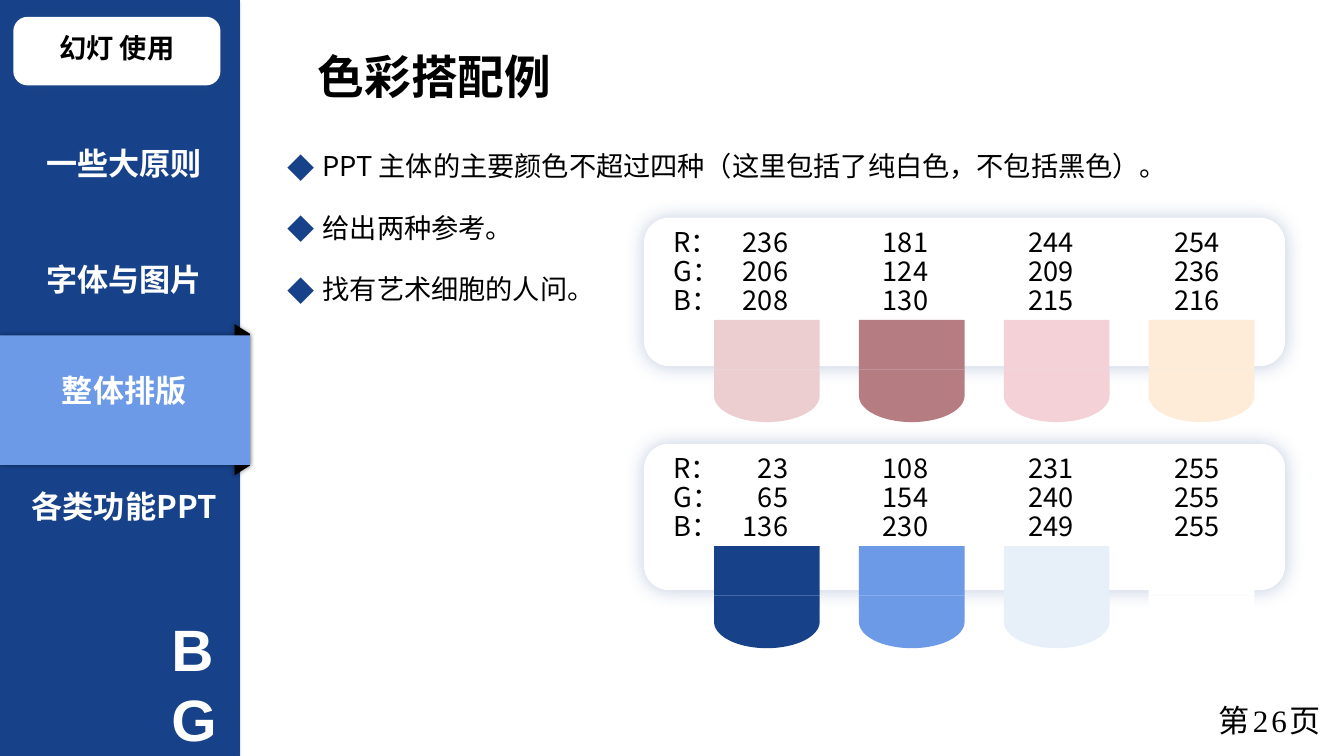
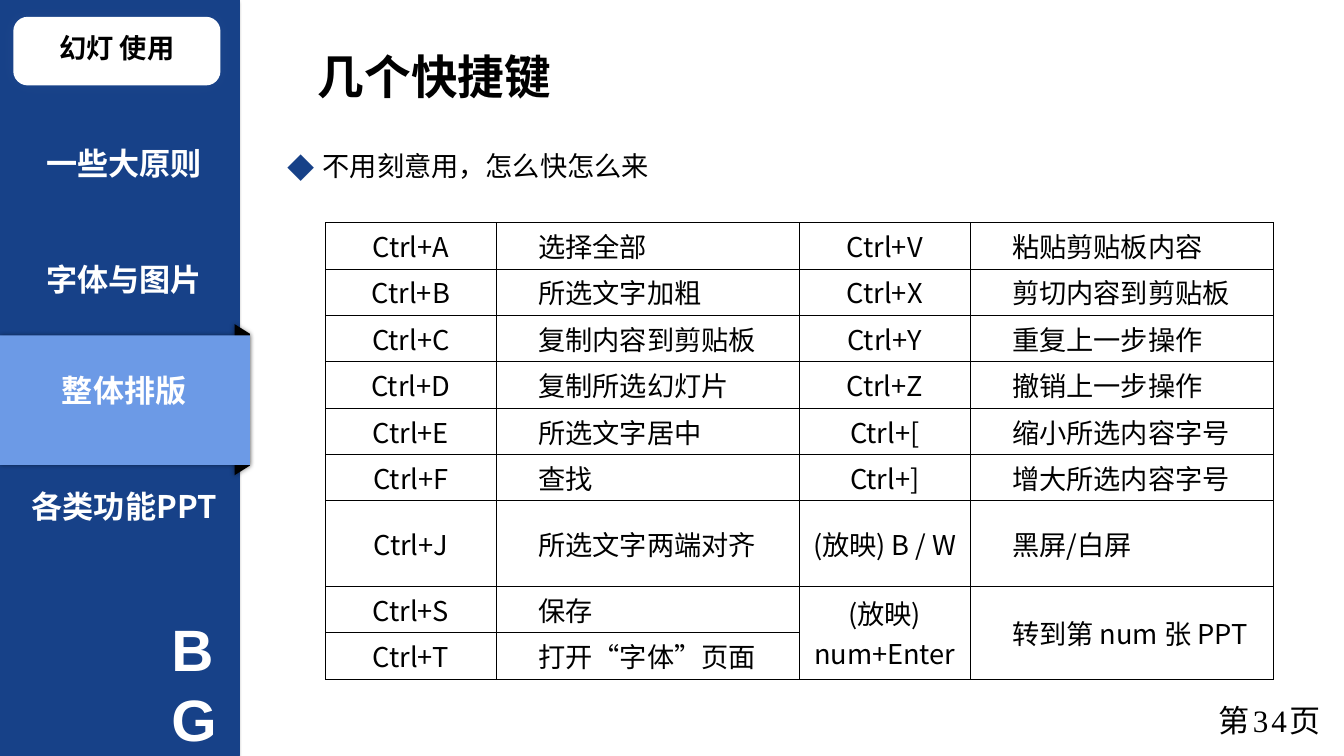
import pptx
import pptx.dml.color
import pptx.enum.shapes
import pptx.enum.text
import pptx.oxml
import pptx.oxml.ns
import pptx.util
from lxml import etree

RGB = pptx.dml.color.RGBColor
ALIGN = pptx.enum.text.PP_ALIGN
ANCHOR = pptx.enum.text.MSO_ANCHOR
SHAPE = pptx.enum.shapes.MSO_SHAPE
qn = pptx.oxml.ns.qn

EMU_PER_PX = 9144  # 100 px to the inch
SLIDE_W, SLIDE_H = 1920, 1080

NAVY = RGB(23, 65, 136)
SKY = RGB(108, 154, 230)
BLACK = RGB(0, 0, 0)
WHITE = RGB(255, 255, 255)
HALO = RGB(0x2F, 0x55, 0x97)
PINK_PALETTE = (RGB(236, 206, 208), RGB(181, 124, 130),
                RGB(244, 209, 215), RGB(254, 236, 216))
BLUE_PALETTE = (NAVY, SKY, RGB(231, 240, 249), WHITE)

SANS = "Noto Sans CJK SC"
SERIF = "Times New Roman"

CHAPTERS = (("一些大原则", 192), ("字体与图片", 358),
            ("整体排版", 516), ("各类功能PPT", 683))

SHORTCUTS = (
    ("Ctrl+A", "选择全部", "Ctrl+V", "粘贴剪贴板内容"),
    ("Ctrl+B", "所选文字加粗", "Ctrl+X", "剪切内容到剪贴板"),
    ("Ctrl+C", "复制内容到剪贴板", "Ctrl+Y", "重复上一步操作"),
    ("Ctrl+D", "复制所选幻灯片", "Ctrl+Z", "撤销上一步操作"),
    ("Ctrl+E", "所选文字居中", "Ctrl+[", "缩小所选内容字号"),
    ("Ctrl+F", "查找", "Ctrl+]", "增大所选内容字号"),
    ("Ctrl+J", "所选文字两端对齐", "(放映) B / W", "黑屏/白屏"),
    ("Ctrl+S", "保存", "(放映)\nnum+Enter", "转到第 num 张 PPT"),
    ("Ctrl+T", "打开“字体”页面", "", ""),
)


def px(length):
    return pptx.util.Emu(round(length * EMU_PER_PX))


def add_child(parent, tag, **attributes):
    return etree.SubElement(parent, qn(tag), attributes)


def move(part, x, y, w, h):
    part.left, part.top, part.width, part.height = px(x), px(y), px(w), px(h)


def write(frame, text, size, colour=BLACK, bold=False, align=ALIGN.LEFT,
          font=SANS, spacing=None):
    """Set the text of a frame and format its paragraphs and runs."""
    frame.text = text
    for paragraph in frame.paragraphs:
        paragraph.alignment = align
        if spacing:
            paragraph.line_spacing = spacing
        for run in paragraph.runs:
            run.font.size = pptx.util.Pt(size)
            run.font.bold = bold
            run.font.color.rgb = colour
            run.font.name = font
            add_child(run.font._element, "a:ea", typeface=SANS)


def set_frame(frame, inset_x=10, inset_y=5, wrap=True, anchor=ANCHOR.TOP):
    frame.auto_size = pptx.enum.text.MSO_AUTO_SIZE.NONE
    frame.word_wrap = wrap
    frame.vertical_anchor = anchor
    frame.margin_left = frame.margin_right = px(inset_x)
    frame.margin_top = frame.margin_bottom = px(inset_y)


def add_label(slide, box, text, size, inset_y=5, wrap=True, **style):
    label = slide.shapes.add_textbox(*map(px, box))
    set_frame(label.text_frame, inset_y=inset_y, wrap=wrap)
    write(label.text_frame, text, size, **style)
    return label.text_frame


def add_block(slide, preset, box, fill, adjust=None, turn=0, shadow=None):
    """Add a plain filled shape; shadow is colour, alpha %, blur, distance, angle."""
    block = slide.shapes.add_shape(preset, *map(px, box))
    block.rotation = turn
    block.fill.solid()
    block.fill.fore_color.rgb = fill
    block.line.fill.background()
    block.shadow.inherit = False
    if adjust is not None:
        block.adjustments[0] = adjust
    if shadow:
        colour, alpha, blur, distance, angle = shadow
        effects = block._element.spPr.find(qn("a:effectLst"))
        outer = add_child(effects, "a:outerShdw", blurRad=str(blur * 12700),
                          dist=str(distance * 12700), dir=str(angle * 60000),
                          algn="ctr", rotWithShape="0")
        tint = add_child(outer, "a:srgbClr", val=str(colour))
        add_child(tint, "a:alpha", val=str(alpha * 1000))
    return block


HALO_SHADOW = (HALO, 30, 20, 0, 0)
TAB_SHADOW = (BLACK, 40, 5, 0, 0)


def add_sidebar(slide, x, y):
    """Navy band with the deck name, the chapters and the current-chapter tab."""
    band = add_block(slide, SHAPE.RECTANGLE, (x, y, 342, SLIDE_H), NAVY,
                     shadow=(BLACK, 40, 4, 3, 135))
    band.line.color.rgb = NAVY
    band.line.width = pptx.util.Pt(1)
    add_label(slide, (x + 235, y + 871, 86, 212), "B\nG", 60, wrap=False,
              colour=WHITE, bold=True, font="Arial")

    # Deck name
    add_block(slide, SHAPE.ROUNDED_RECTANGLE, (x + 19, y + 24, 296, 98), WHITE,
              adjust=0.21, shadow=HALO_SHADOW)
    add_label(slide, (x + 19, y + 30, 296, 87), "幻灯 使用", 28, inset_y=20,
              bold=True, align=ALIGN.CENTER, spacing=0.9)

    # Folded tab behind the current chapter
    add_block(slide, SHAPE.TRAPEZOID, (x + 238, y + 560, 216, 22), BLACK,
              adjust=0.63, turn=90, shadow=TAB_SHADOW)
    add_block(slide, SHAPE.RECTANGLE, (x, y + 479, 357, 185), SKY,
              shadow=TAB_SHADOW)

    # Chapters
    for chapter, top in CHAPTERS:
        frame = add_label(slide, (x, y + top, 335, 94), chapter, 32, inset_y=20,
                          colour=WHITE, bold=True, align=ALIGN.CENTER, spacing=0.9)
        frame.paragraphs[0]._p.get_or_add_pPr().set("marL", str(px(20)))


def add_page_number(slide, box, number):
    frame = add_label(slide, box, f"第{number}页", 32, align=ALIGN.RIGHT, font=SERIF)
    frame.paragraphs[0].runs[0].font._element.set("spc", "300")


def fill_title(title, box, text):
    move(title, *box)
    set_frame(title.text_frame, anchor=ANCHOR.MIDDLE)
    write(title.text_frame, text, 48, bold=True, spacing=0.9)
    title.text_frame.paragraphs[0]._p.get_or_add_pPr().set("marL", str(px(20)))


def fill_points(body, box, points):
    """Diamond-bulleted list in the body placeholder."""
    move(body, *box)
    set_frame(body.text_frame, inset_y=20)
    write(body.text_frame, "\n".join(points), 28, align=ALIGN.JUSTIFY, spacing=0.9)
    for index, paragraph in enumerate(body.text_frame.paragraphs):
        paragraph.space_before = pptx.util.Pt(17 if index else 0)
        paragraph.space_after = pptx.util.Pt(16)
        props = paragraph._p.get_or_add_pPr()
        props.set("marL", str(px(70)))
        props.set("indent", str(px(-50)))
        add_child(add_child(props, "a:buClr"), "a:srgbClr", val=str(NAVY))
        add_child(props, "a:buFont", typeface=SANS)
        add_child(props, "a:buChar", char="◆")


def add_palette(slide, box, colours):
    """Card with four colour swatches and their RGB values above them."""
    x, y, w, h = box
    add_block(slide, SHAPE.ROUNDED_RECTANGLE, box, WHITE, adjust=0.17,
              shadow=HALO_SHADOW)

    # Swatches: a square top and a rounded bottom
    swatch_w, top_h, tip_h, pitch = 151, 71, 75, 207
    for index, colour in enumerate(colours):
        left, top = x + 100 + index * pitch, y + 146
        side = (swatch_w - tip_h) // 2
        add_block(slide, SHAPE.FLOWCHART_DELAY,
                  (left + side, top + top_h - side, tip_h, swatch_w), colour, turn=90)
        add_block(slide, SHAPE.RECTANGLE, (left, top, swatch_w, top_h), colour)

    # Channel values, right-aligned on tab stops
    rows = ["\t".join([f"{name}：", *(str(colour[channel]) for colour in colours)])
            for channel, name in enumerate("RGB")]
    frame = add_label(slide, (x + 32, y + 11, w - 64, 135), "\n".join(rows), 28,
                      spacing=pptx.util.Pt(30))
    for paragraph in frame.paragraphs:
        stops = add_child(paragraph._p.get_or_add_pPr(), "a:tabLst")
        for stop in (164, 364, 572, 781):
            add_child(stops, "a:tab", pos=str(px(stop)), algn="r")


def outline_cell(cell):
    props = cell._tc.get_or_add_tcPr()
    for side in ("a:lnL", "a:lnR", "a:lnT", "a:lnB"):
        line = add_child(props, side, w="12700")
        add_child(add_child(line, "a:solidFill"), "a:srgbClr", val=str(BLACK))
    cell.fill.background()


def add_shortcuts(slide, box):
    """Grid of key and meaning pairs, two pairs to a row."""
    row_count = len(SHORTCUTS)
    table = slide.shapes.add_table(row_count, 4, *map(px, box)).table
    table.first_row = table.horz_banding = False
    for column, width in zip(table.columns, (244, 433) * 2):
        column.width = px(width)
    for row, texts in zip(table.rows, SHORTCUTS):
        row.height = px(box[3] // row_count)
        for index, (cell, text) in enumerate(zip(row.cells, texts)):
            outline_cell(cell)
            cell.vertical_anchor = ANCHOR.MIDDLE
            is_key = index % 2 == 0
            write(cell.text_frame, text, 28,
                  align=ALIGN.CENTER if is_key else ALIGN.LEFT)
            if not is_key:
                props = cell.text_frame.paragraphs[0]._p.get_or_add_pPr()
                props.set("marL", "0")
                props.set("indent", str(px(50)))
    for index in (2, 3):
        table.cell(row_count - 2, index).merge(table.cell(row_count - 1, index))


def add_page(deck, title, points, body_height, number):
    slide = deck.slides.add_slide(deck.slide_layouts[1])
    add_sidebar(slide, 0, 0)
    fill_title(slide.shapes.title, (424, 64, 1364, 98), title)
    fill_points(slide.placeholders[1], (381, 199, 1364, body_height), points)
    add_page_number(slide, (1558, 997, 339, 65), number)
    return slide


def main():
    deck = pptx.Presentation()
    deck.slide_width, deck.slide_height = px(SLIDE_W), px(SLIDE_H)

    # Colour schemes
    colours = add_page(deck, "色彩搭配例", (
        "PPT 主体的主要颜色不超过四种（这里包括了纯白色，不包括黑色）。",
        "给出两种参考。",
        "找有艺术细胞的人问。"), 282, 26)
    add_palette(colours, (920, 634, 916, 209), BLUE_PALETTE)
    add_palette(colours, (920, 311, 916, 212), PINK_PALETTE)

    # Keyboard shortcuts
    shortcuts = add_page(deck, "几个快捷键", ("不用刻意用，怎么快怎么来",), 184, 34)
    add_shortcuts(shortcuts, (465, 318, 1354, 567))

    deck.save("out.pptx")


if __name__ == "__main__":
    main()
